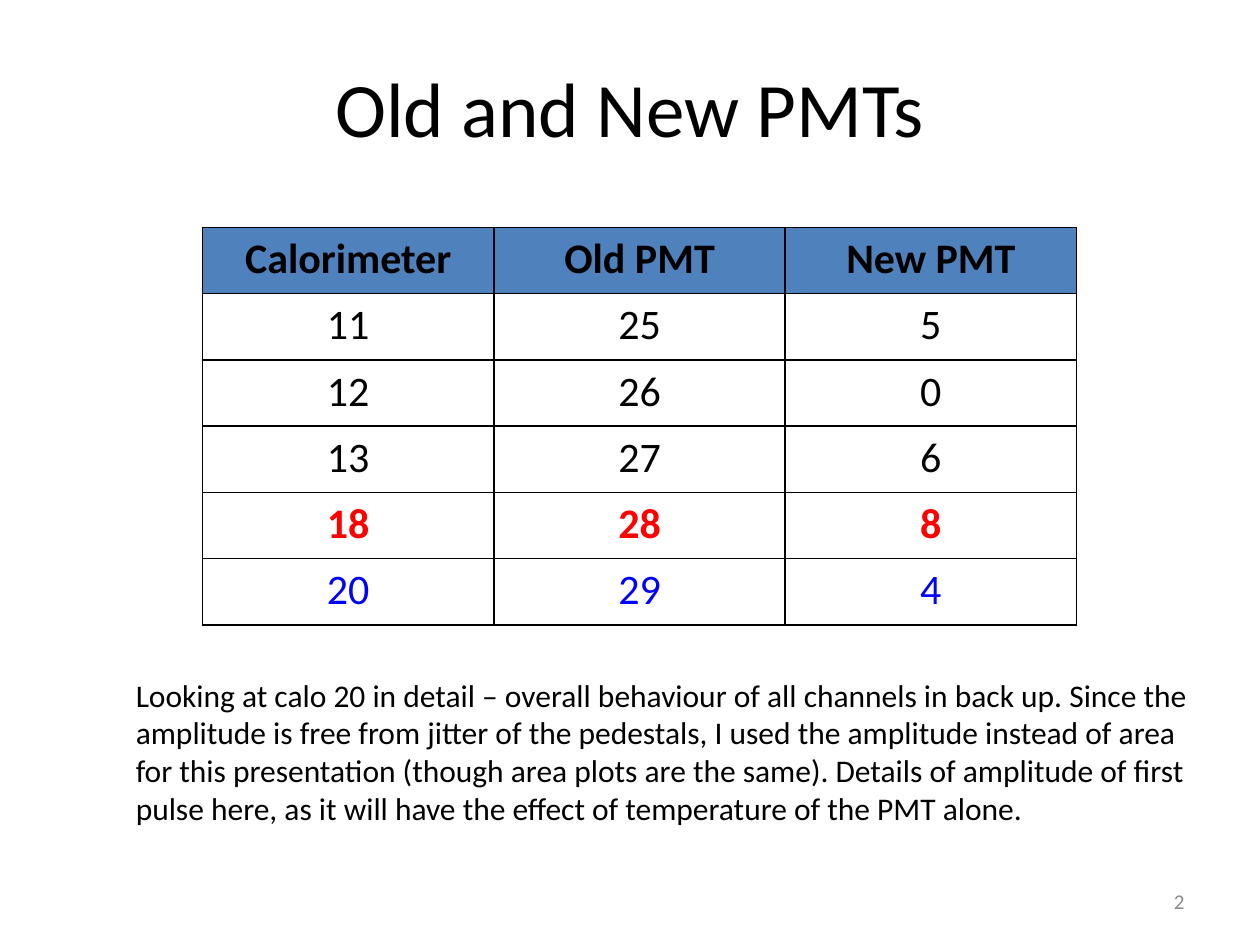
from lxml.etree import SubElement
from pptx import Presentation
from pptx.dml.color import RGBColor
from pptx.enum.text import MSO_ANCHOR as Anchor, PP_ALIGN as Align
from pptx.oxml.ns import qn
from pptx.util import Pt


def color(value):
    return RGBColor.from_string(value)


def write(frame, text, size, align, ink="000000", bold=False):
    frame.word_wrap = True
    paragraph = frame.paragraphs[0]
    paragraph.text = text
    paragraph.alignment = align
    font = paragraph.font
    font.name, font.size, font.bold = "Calibri", Pt(size), bold
    font.color.rgb = color(ink)


presentation = Presentation()
presentation.slide_width, presentation.slide_height = Pt(720), Pt(540)
slide = presentation.slides.add_slide(presentation.slide_layouts[6])

# Title, explanation and page number
explanation = (
    "Looking at calo 20 in detail – overall behaviour of all channels in back up. "
    "Since the amplitude is free from jitter of the pedestals, I used the amplitude "
    "instead of area for this presentation (though area plots are the same). "
    "Details of amplitude of first pulse here, as it will have the effect of "
    "temperature of the PMT alone."
)
texts = [
    ((54, 3, 612, 116), "Old and New PMTs", 44, Align.CENTER, Anchor.MIDDLE, "000000"),
    ((70.5, 382.5, 622, 94.5), explanation, 18, Align.LEFT, Anchor.TOP, "000000"),
    ((516, 500.5, 168, 28.75), "2", 12, Align.RIGHT, Anchor.MIDDLE, "8C8C8C"),
]
for box, text, size, align, anchor, ink in texts:
    frame = slide.shapes.add_textbox(*map(Pt, box)).text_frame
    frame.vertical_anchor = anchor
    write(frame, text, size, align, ink)

# Table of calorimeters: values, text colour, bold
rows = [
    (("Calorimeter", "Old PMT", "New PMT"), "000000", True),
    (("11", "25", "5"), "000000", False),
    (("12", "26", "0"), "000000", False),
    (("13", "27", "6"), "000000", False),
    (("18", "28", "8"), "FF0000", True),
    (("20", "29", "4"), "0000FF", False),
]
column_width, row_height = 166.5, 37.85
table = slide.shapes.add_table(
    len(rows), 3, Pt(115.75), Pt(130), Pt(3 * column_width), Pt(len(rows) * row_height)
).table
for column in table.columns:
    column.width = Pt(column_width)
for row_index, (values, ink, bold) in enumerate(rows):
    table.rows[row_index].height = Pt(row_height)
    for column_index, value in enumerate(values):
        cell = table.cell(row_index, column_index)
        write(cell.text_frame, value, 24, Align.CENTER, ink, bold)

        # Borders come before the fill in the cell properties
        properties = cell._tc.get_or_add_tcPr()
        for side in ("a:lnL", "a:lnR", "a:lnT", "a:lnB"):
            line = SubElement(properties, qn(side), w=str(Pt(1)))
            line_fill = SubElement(line, qn("a:solidFill"))
            SubElement(line_fill, qn("a:srgbClr"), val="000000")
        cell.fill.solid()
        cell.fill.fore_color.rgb = color("4F81BD" if row_index == 0 else "FFFFFF")

presentation.save("out.pptx")
